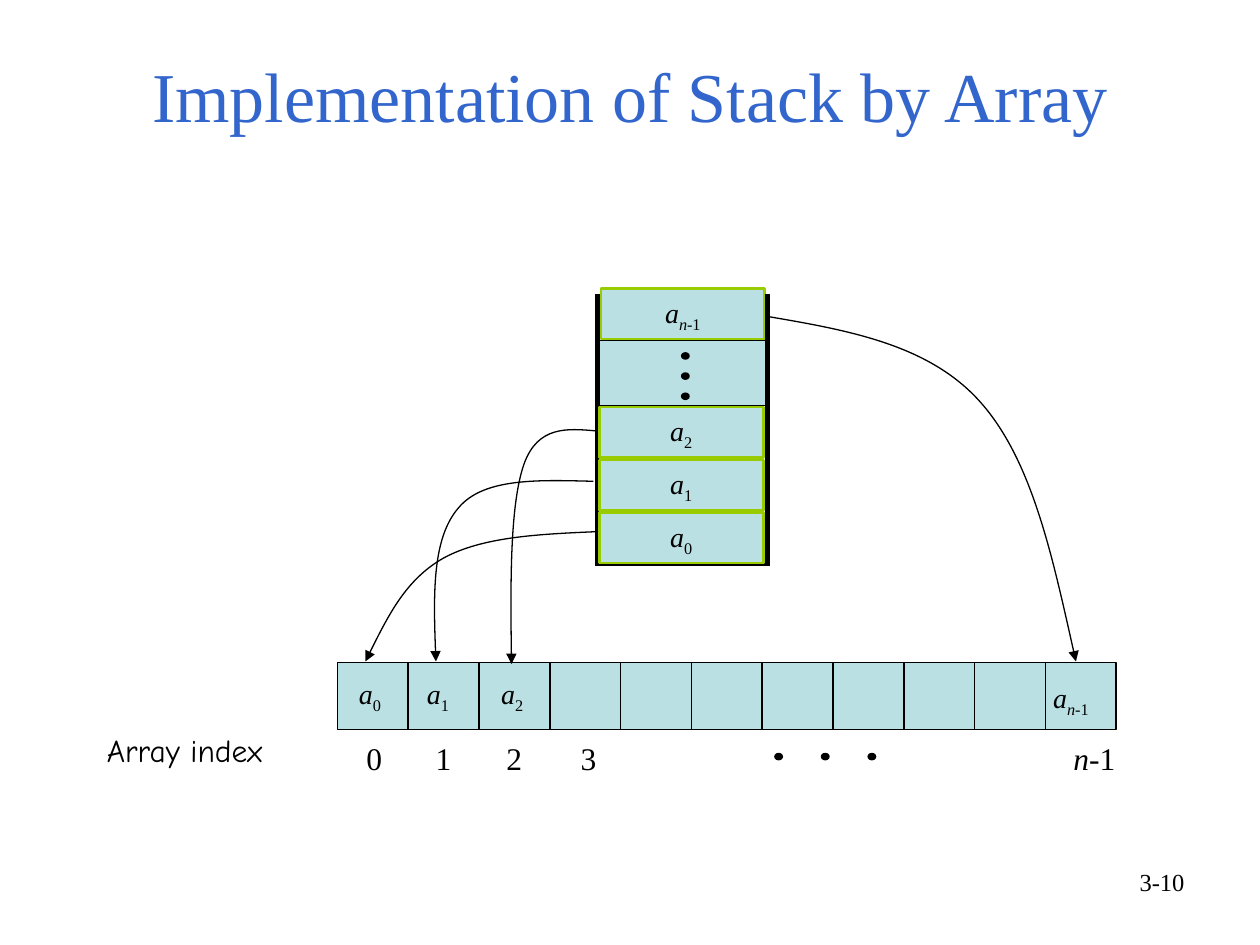
from dataclasses import dataclass

import pptx
import pptx.dml.color
import pptx.enum.shapes
import pptx.enum.text
import pptx.oxml.ns
import pptx.oxml.xmlchemy
import pptx.util

Inches, Pt = pptx.util.Inches, pptx.util.Pt
SHAPE = pptx.enum.shapes.MSO_SHAPE
ALIGN = pptx.enum.text.PP_ALIGN
ANCHOR = pptx.enum.text.MSO_ANCHOR
qn = pptx.oxml.ns.qn
new_element = pptx.oxml.xmlchemy.OxmlElement


@dataclass(frozen=True)
class Theme:
    serif: str = "Times New Roman"
    hand: str = "Comic Neue"
    title_color: str = "3366CC"
    ink: str = "000000"
    cell: str = "BBE0E3"
    item_border: str = "99CC00"
    title_size: int = 40
    index_size: int = 18
    item_size: int = 16
    page_size: int = 14
    thin: float = 0.75
    border: float = 1.5
    rail: float = 3


THEME = Theme()

TITLE = "Implementation of Stack by Array"
PAGE_NUMBER = "3-10"
INDEX_CAPTION = "Array index"

# Stack geometry
STACK_LEFT, STACK_WIDTH, ITEM_HEIGHT = 4.76, 1.3, 0.4
ITEM_TOP, ITEM_PITCH = 3.23, 0.42
RAIL_LEFT, RAIL_RIGHT, RAIL_TOP, RAIL_BOTTOM = 4.74, 6.09, 2.33, 4.49

# Array geometry
CELL_COUNT, CELL_LEFT, CELL_RIGHT, CELL_TOP = 11, 2.68, 8.86, 5.26
CELL_WIDTH, CELL_HEIGHT = 0.56, 0.53
CELL_PITCH = (CELL_RIGHT - CELL_LEFT) / CELL_COUNT
INDEX_TOP = 5.82

# Items: subscript runs as (text, italic), then label place (left, top, width)
NUMBERED = {name: [(name, False)] for name in "012"}
LAST = [("n", True), ("-1", False)]
ITEM_LABELS = [
    *((NUMBERED[name], 5.22, ITEM_TOP + row * ITEM_PITCH, 0.4)
      for row, name in enumerate("210")),
    (LAST, 5.18, 2.3, 0.64),
    (NUMBERED["0"], 2.75, 5.32, 0.4),
    (NUMBERED["1"], 3.29, 5.32, 0.4),
    (NUMBERED["2"], 3.88, 5.32, 0.4),
    (LAST, 8.26, 5.35, 0.64),
]
INDEX_LABELS = [
    ([("0", False)], 2.81, 0.32),
    ([("1", False)], 3.36, 0.32),
    ([("2", False)], 3.92, 0.32),
    ([("3", False)], 4.51, 0.32),
    (LAST, 8.42, 0.63),
]
DOT_WIDTH, DOT_HEIGHT = 0.06, 0.05
DOTS = ([(5.41, 2.8 + 0.16 * step) for step in range(3)]
        + [(6.15 + 0.37 * step, 5.98) for step in range(3)])

# Each arrow: start point, then three points for every cubic segment
ARROWS = [
    [(4.73, 4.22), (4.28, 4.24), (3.83, 4.26), (3.52, 4.43),
     (3.22, 4.6), (3.06, 4.93), (2.9, 5.25)],
    [(4.71, 3.82), (4.28, 3.81), (3.84, 3.79), (3.64, 4.03),
     (3.43, 4.27), (3.44, 4.76), (3.46, 5.25)],
    [(4.73, 3.42), (4.5, 3.4), (4.27, 3.38), (4.16, 3.68),
     (4.05, 3.99), (4.05, 4.63), (4.06, 5.27)],
    [(6.08, 2.51), (6.72, 2.62), (7.37, 2.73), (7.78, 3.19),
     (8.19, 3.65), (8.36, 4.45), (8.54, 5.25)],
]


def rgb(color):
    return pptx.dml.color.RGBColor.from_string(color)


def set_line(shape, color, width):
    shape.line.color.rgb = rgb(color)
    shape.line.width = Pt(width)


def add_block(slide, kind, box, fill, border=THEME.ink, width=THEME.thin):
    shape = slide.shapes.add_shape(kind, *map(Inches, box))
    shape.shadow.inherit = False
    shape.fill.solid()
    shape.fill.fore_color.rgb = rgb(fill)
    set_line(shape, border, width)


def add_rail(slide, *ends):
    rail = slide.shapes.add_connector(
        pptx.enum.shapes.MSO_CONNECTOR.STRAIGHT, *map(Inches, ends))
    set_line(rail, THEME.ink, THEME.rail)
    rail._element.spPr.append(new_element("a:effectLst"))


def add_run(paragraph, text, size, font=THEME.serif, color=THEME.ink,
            italic=False, subscript=False):
    run = paragraph.add_run()
    run.text = text
    run.font.name = font
    run.font.size = Pt(size)
    run.font.color.rgb = rgb(color)
    run.font.italic = italic
    if subscript:
        run.font._element.set("baseline", "-25000")


def add_text(slide, box, align=ALIGN.LEFT):
    """Add an empty text box and return its paragraph."""
    frame = slide.shapes.add_textbox(*map(Inches, box)).text_frame
    frame.word_wrap = True
    paragraph = frame.paragraphs[0]
    paragraph.alignment = align
    return paragraph


def add_curved_arrow(slide, points):
    """Outline the control points, then turn each three into a cubic curve."""
    start, *rest = [tuple(map(Inches, point)) for point in points]
    builder = slide.shapes.build_freeform(*start)
    builder.add_line_segments(rest, close=False)
    arrow = builder.convert_to_shape()
    arrow.shadow.inherit = False
    arrow.fill.background()
    set_line(arrow, THEME.ink, THEME.thin)
    segments = list(arrow._element.iter(qn("a:lnTo")))
    for first in range(0, len(segments), 3):
        curve = new_element("a:cubicBezTo")
        segments[first].addprevious(curve)
        for segment in segments[first:first + 3]:
            curve.append(segment[0])
            segment.getparent().remove(segment)
    head = new_element("a:tailEnd")
    head.set("type", "triangle")
    arrow._element.spPr.find(qn("a:ln")).append(head)


def add_title(slide):
    title = slide.shapes.title
    title.left, title.top, title.width, title.height = map(
        Inches, (0.73, 0.25, 8.54, 0.88))
    title.text_frame.vertical_anchor = ANCHOR.BOTTOM
    paragraph = title.text_frame.paragraphs[0]
    paragraph.alignment = ALIGN.CENTER
    add_run(paragraph, TITLE, THEME.title_size, color=THEME.title_color)


def add_stack(slide):
    def add_item(left, top):
        add_block(slide, SHAPE.RECTANGLE, (left, top, STACK_WIDTH, ITEM_HEIGHT),
                  THEME.cell, THEME.item_border, THEME.border)

    add_item(4.77, 2.29)
    add_block(slide, SHAPE.RECTANGLE, (4.73, 2.7, 1.35, 0.52), THEME.cell)
    for x in (RAIL_LEFT, RAIL_RIGHT):
        add_rail(slide, x, RAIL_TOP, x, RAIL_BOTTOM)
    add_rail(slide, RAIL_LEFT, 4.47, RAIL_RIGHT, 4.47)
    for row in reversed(range(3)):
        add_item(STACK_LEFT, ITEM_TOP + row * ITEM_PITCH)


def add_array(slide):
    for column in range(CELL_COUNT):
        left = CELL_LEFT + column * CELL_PITCH
        add_block(slide, SHAPE.RECTANGLE,
                  (left, CELL_TOP, CELL_WIDTH, CELL_HEIGHT), THEME.cell)
    caption = add_text(slide, (0.75, 5.75, 2, 0.4))
    add_run(caption, INDEX_CAPTION, THEME.index_size, THEME.hand)
    for runs, left, width in INDEX_LABELS:
        paragraph = add_text(slide, (left, INDEX_TOP, width, 0.4))
        for text, italic in runs:
            add_run(paragraph, text, THEME.index_size, italic=italic)


def main():
    presentation = pptx.Presentation()
    presentation.slide_width, presentation.slide_height = Inches(10), Inches(7.5)
    slide = presentation.slides.add_slide(presentation.slide_layouts[5])
    add_title(slide)
    add_stack(slide)
    add_array(slide)
    for runs, left, top, width in ITEM_LABELS:
        paragraph = add_text(slide, (left, top, width, 0.41))
        add_run(paragraph, "a", THEME.item_size, italic=True)
        for text, italic in runs:
            add_run(paragraph, text, THEME.item_size, italic=italic, subscript=True)
    for left, top in DOTS:
        add_block(slide, SHAPE.OVAL, (left, top, DOT_WIDTH, DOT_HEIGHT), THEME.ink)
    for points in ARROWS:
        add_curved_arrow(slide, points)
    page = add_text(slide, (7.17, 6.83, 2.33, 0.52), ALIGN.RIGHT)
    add_run(page, PAGE_NUMBER, THEME.page_size)
    presentation.save("out.pptx")


if __name__ == "__main__":
    main()
